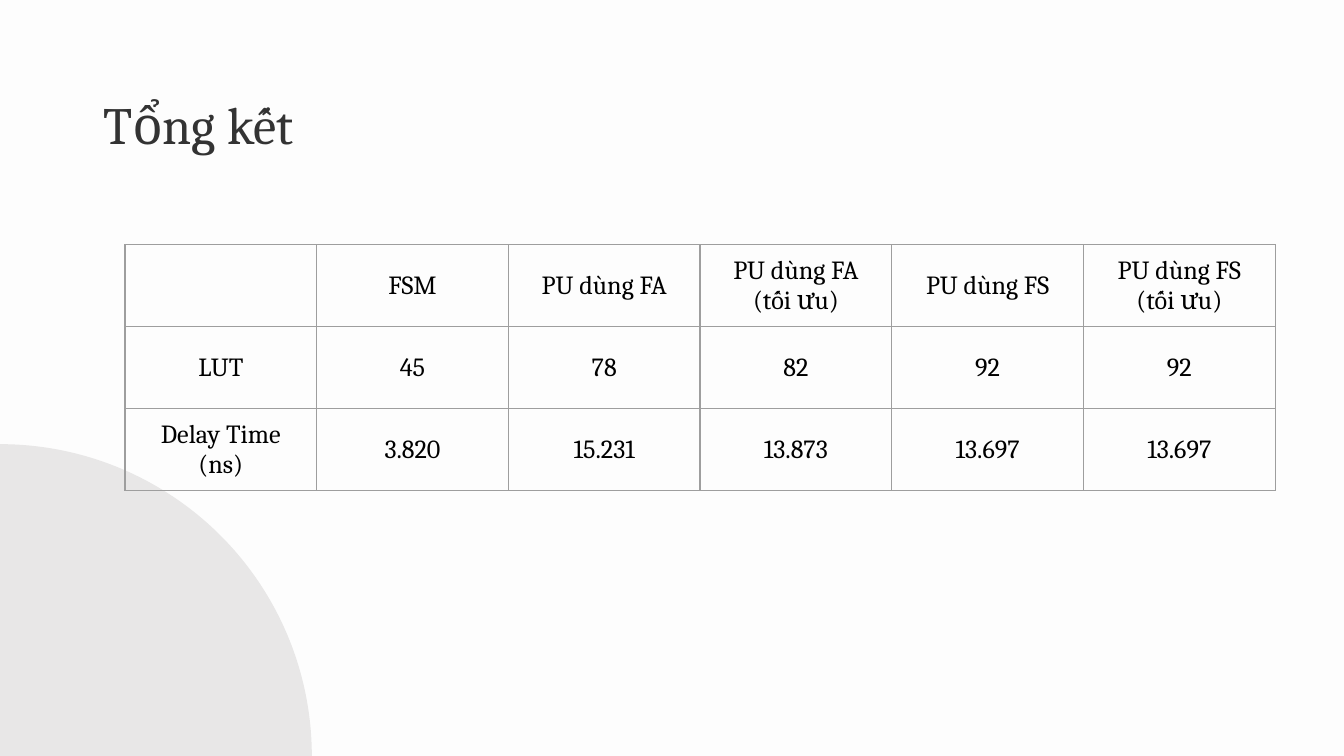
import pptx
import pptx.util
import pptx.dml.color
import pptx.enum.shapes
import pptx.enum.text
import pptx.oxml
import pptx.oxml.ns

WIDE = pptx.util.Inches(10)
HIGH = WIDE * 9 // 16
FONT = "Cambria"
ROWS = [
    ["", "FSM", "PU dùng FA", "PU dùng FA (tối ưu)", "PU dùng FS", "PU dùng FS (tối ưu)"],
    ["LUT", "45", "78", "82", "92", "92"],
    ["Delay Time (ns)", "3.820", "15.231", "13.873", "13.697", "13.697"],
]


def color(code):
    return pptx.dml.color.RGBColor.from_string(code)


def inches(*sizes):
    return [pptx.util.Inches(size) for size in sizes]


def style(frame, size, code, align):
    for para in frame.paragraphs:
        para.alignment = align
        for run in para.runs:
            run.font.name = FONT
            run.font.size = pptx.util.Pt(size)
            run.font.color.rgb = color(code)


def border(cell, code, width):
    props = cell._tc.get_or_add_tcPr()
    space = pptx.oxml.ns.nsdecls("a")
    for index, side in enumerate(("lnL", "lnR", "lnT", "lnB")):
        line = pptx.oxml.parse_xml(
            f'<a:{side} {space} w="{pptx.util.Pt(width)}"><a:solidFill>'
            f'<a:srgbClr val="{code}"/></a:solidFill></a:{side}>'
        )
        props.insert(index, line)


def disc(slide, mid, base, radius):
    oval = slide.shapes.add_shape(
        pptx.enum.shapes.MSO_SHAPE.OVAL,
        mid - radius, base - radius, 2 * radius, 2 * radius,
    )
    oval.shadow.inherit = False
    oval.fill.solid()
    oval.fill.fore_color.rgb = color("E8E7E7")
    oval.line.fill.background()


def heading(slide, left, top, width, height):
    title = slide.shapes.title
    title.left, title.top, title.width, title.height = left, top, width, height
    frame = title.text_frame
    frame.text = "Tổng kết"
    frame.word_wrap = True
    frame.auto_size = pptx.enum.text.MSO_AUTO_SIZE.NONE
    frame.vertical_anchor = pptx.enum.text.MSO_ANCHOR.MIDDLE
    frame.margin_left, frame.margin_right = inches(0.2, 0.2)
    frame.margin_top, frame.margin_bottom = inches(0.1, 0.1)
    style(frame, 28, "333333", pptx.enum.text.PP_ALIGN.LEFT)


def results(slide, left, top, width, height):
    grid = slide.shapes.add_table(
        len(ROWS), len(ROWS[0]), left, top, width, height
    ).table
    grid.first_row = grid.horz_banding = False
    for row, words in enumerate(ROWS):
        for col, word in enumerate(words):
            cell = grid.cell(row, col)
            cell.text_frame.text = word
            cell.vertical_anchor = pptx.enum.text.MSO_ANCHOR.MIDDLE
            cell.fill.background()
            style(cell.text_frame, 14, "000000", pptx.enum.text.PP_ALIGN.CENTER)
            border(cell, "9E9E9E", 0.75)


def main():
    deck = pptx.Presentation()
    deck.slide_width, deck.slide_height = WIDE, HIGH
    slide = deck.slides.add_slide(deck.slide_layouts[5])
    slide.background.fill.solid()
    slide.background.fill.fore_color.rgb = color("FDFDFD")
    disc(slide, 0, HIGH, pptx.util.Inches(2.32))
    results(slide, *inches(0.93, 1.82, 8.56, 1.83))
    heading(slide, *inches(0.57, 0.5, 4.43, 0.84))
    deck.save("out.pptx")


if __name__ == "__main__":
    main()
